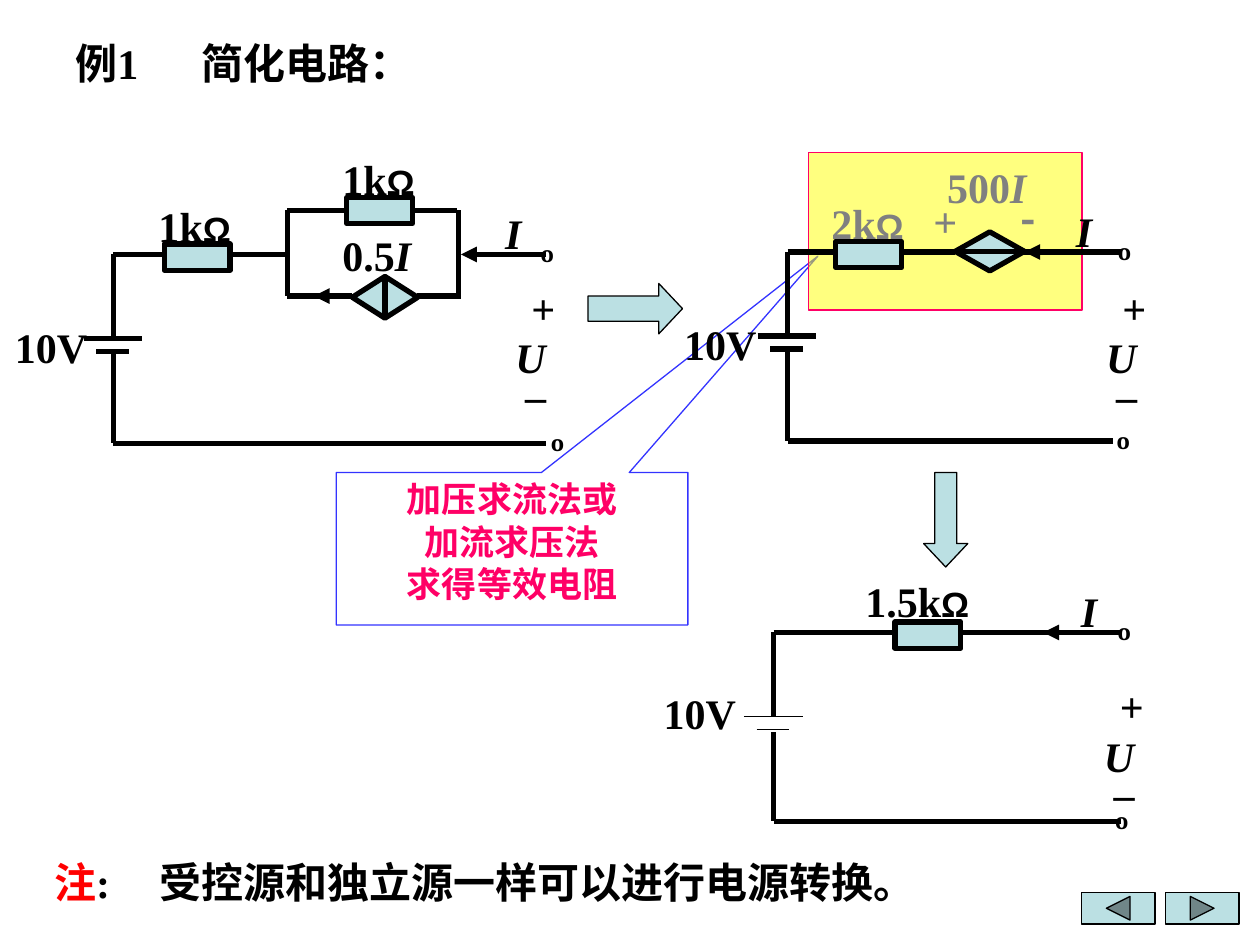
import pptx
import pptx.dml.color
import pptx.enum.shapes
import pptx.enum.text
import pptx.oxml
import pptx.oxml.ns
import pptx.util

Pt = pptx.util.Pt
SHAPE = pptx.enum.shapes.MSO_SHAPE
ALIGN = pptx.enum.text.PP_ALIGN
ANCHOR = pptx.enum.text.MSO_ANCHOR
AUTO = pptx.enum.text.MSO_AUTO_SIZE
BLACK, TEAL, GRAY, PINK = "000000", "BBE0E3", "808080", "FF0066"
ITALIC = {"italic": True}
OHM = ("Ω", {"size": Pt(20), "name": "Arial"})


def rgb(value):
    return pptx.dml.color.RGBColor.from_string(value)


def apply(obj, values):
    for key, value in values.items():
        setattr(obj, key, value)


def child(parent, tag, **attrs):
    el = pptx.oxml.parse_xml(f"<a:{tag} {pptx.oxml.ns.nsdecls('a')}/>")
    for key, value in attrs.items():
        el.set(key, str(value))
    parent.append(el)
    return el


class Sketch:
    font = {"size": Pt(24), "name": "Times New Roman", "bold": True}

    def __init__(self, s):
        self.s = s

    def shape(self, kind, x, y, w, h, fill=TEAL, line=BLACK, weight=0.75, rotation=0):
        sp = self.s.shapes.add_shape(kind, Pt(x), Pt(y), Pt(w), Pt(h))
        sp.shadow.inherit = False
        sp.rotation = rotation
        sp.fill.solid()
        sp.fill.fore_color.rgb = rgb(fill)
        sp.line.color.rgb = rgb(line)
        sp.line.width = Pt(weight)
        return sp

    def wire(self, x1, y1, x2, y2, weight=3, arrow=False):
        sp = self.s.shapes.add_connector(
            pptx.enum.shapes.MSO_CONNECTOR.STRAIGHT, Pt(x1), Pt(y1), Pt(x2), Pt(y2))
        sp.line.color.rgb = rgb(BLACK)
        sp.line.width = Pt(weight)
        if arrow:
            child(sp.line._get_or_add_ln(), "tailEnd", type="triangle")
        child(sp._element.spPr, "effectLst")

    def resistor(self, cx, cy):
        self.shape(SHAPE.RECTANGLE, cx - 18.8, cy - 7.5, 37.6, 15, weight=3)

    def battery(self, x, y, weight=3):
        self.wire(x, y + 57, x, y + 108)
        self.wire(x, y + 48, x, y)
        self.wire(x - 17, y + 48, x + 16.5, y + 48, weight)
        self.wire(x - 9.7, y + 55.5, x + 9, y + 55.5, weight)

    def runs(self, p, items, color):
        for content, values in items:
            r = p.add_run()
            r.text = content
            values = {**self.font, **values}
            r.font.color.rgb = rgb(values.pop("color", color))
            apply(r.font, values)

    def text(self, x, y, w, *items, color=BLACK, center=False, tab=None):
        sp = self.s.shapes.add_textbox(Pt(x), Pt(y), Pt(w), Pt(36))
        tf = sp.text_frame
        apply(tf, {"word_wrap": True, "auto_size": AUTO.SHAPE_TO_FIT_TEXT,
                   "vertical_anchor": ANCHOR.MIDDLE if center else ANCHOR.TOP})
        p = tf.paragraphs[0]
        if tab:
            tabs = child(p._p.get_or_add_pPr(), "tabLst")
            child(tabs, "tab", pos=Pt(tab), algn="l")
        p.alignment = ALIGN.CENTER if center else ALIGN.LEFT
        self.runs(p, items, color)

    def port(self, plus, minus, voltage, top, bottom):
        marks = [("+", plus), ("_", minus), ("U", voltage), ("º", top), ("º", bottom)]
        for mark, box in marks:
            self.text(*box, (mark, ITALIC if mark == "U" else {}), center=True)

    def callout(self, x, y, w, h, lines, adjustments):
        sp = self.shape(SHAPE.RECTANGULAR_CALLOUT, x, y, w, h, "FFFFFF", "3333FF")
        for i, value in enumerate(adjustments):
            sp.adjustments[i] = value
        tf = sp.text_frame
        apply(tf, {"word_wrap": False, "vertical_anchor": ANCHOR.MIDDLE})
        for i, line in enumerate(lines):
            p = tf.add_paragraph() if i else tf.paragraphs[0]
            apply(p, {"alignment": ALIGN.CENTER, "line_spacing": 0.5,
                      "space_before": Pt(12.5 if i else 0)})
            self.runs(p, [(line, {"size": Pt(20)})], PINK)


def source_circuit(d):
    d.battery(64.8, 145.4)
    for ends in [(64.8, 145.4, 164.2, 145.4), (64.8, 253.4, 311.8, 253.4),
                 (164.2, 120.2, 261.4, 120.2), (164.2, 120.2, 164.2, 169.2),
                 (164.2, 169.2, 200.9, 169.2), (238.3, 169.2, 263.5, 169.2),
                 (262.1, 120.2, 262.1, 169.2)]:
        d.wire(*ends)
    d.wire(192.2, 169.2, 179.3, 169.2, arrow=True)
    d.wire(311.8, 145.4, 263.5, 145.4, arrow=True)
    d.resistor(112.7, 146.9)
    d.resistor(217, 120.2)
    d.shape(SHAPE.FLOWCHART_SORT, 208.1, 151.2, 23.8, 37.4, weight=3, rotation=270)
    d.text(83.5, 110.9, 74.2, ("1k", {}), OHM)
    d.text(188.6, 84.2, 74.2, ("1k", {}), OHM)
    d.text(1.4, 180, 56.9, ("10V", {}))
    d.text(188.6, 127.4, 63.4, ("0.5", {}), ("I", ITALIC))
    d.text(281.5, 115.2, 15.1, ("I", ITALIC))
    d.port((296.6, 157.7, 15.1), (293, 199.4, 18.7), (282.2, 185.8, 41.8),
           (295.9, 131.8, 33.8), (301, 239.8, 35.3))


def converted_circuit(d):
    d.battery(450, 144)
    d.wire(450, 144, 545.8, 144)
    d.wire(581.8, 144, 625.7, 144)
    d.wire(450, 252, 635.8, 252)
    d.wire(640.8, 144, 585.4, 144, arrow=True)
    d.resistor(496.4, 145.4)
    d.shape(SHAPE.FLOWCHART_SORT, 545.8, 132.5, 39.6, 22.3, weight=3)
    d.text(383.8, 178.6, 66.2, ("10V", {}))
    d.text(468, 109.4, 72, ("2k", {}), OHM, color=GRAY)
    d.text(526.3, 108, 31.7, ("+", {}), color=GRAY)
    d.text(534.2, 88.6, 72, ("500", {}), ("I", ITALIC), color=GRAY)
    d.text(576, 106.6, 14.4, ("-", {"name": "Noto Sans CJK SC"}), color=GRAY)
    d.text(607.7, 113.8, 14.4, ("I", ITALIC))
    d.port((634.3, 157.7, 15.8), (630.7, 199.4, 19.4), (619.2, 185.8, 43.2),
           (631.4, 130.3, 22.3), (630, 238.3, 23.8))


def final_circuit(d):
    d.battery(442.1, 361.4, weight=1)
    d.wire(442.1, 361.4, 630, 361.4)
    d.wire(442.1, 469.4, 640.8, 469.4)
    d.wire(640.8, 361.4, 596.2, 361.4, arrow=True)
    d.resistor(530.3, 362.9)
    d.text(487.4, 325.4, 83.5, ("1.5k", {}), OHM)
    d.text(372.2, 389.5, 59.8, ("10V", {}))
    d.text(610.6, 331.2, 15.8, ("I", ITALIC))
    d.port((632.9, 385.2, 15.8), (629.3, 427, 19.4), (617.8, 414, 43.2),
           (631.4, 347.8, 15.8), (630, 455.8, 15.8))


def main():
    prs = pptx.Presentation()
    apply(prs, {"slide_width": Pt(720), "slide_height": Pt(540)})
    d = Sketch(prs.slides.add_slide(prs.slide_layouts[6]))

    d.callout(192.2, 270, 200.9, 87.1,
              ["加压求流法或", "加流求压法", "求得等效电阻"], (0.87, -1.92))
    sp = d.shape(SHAPE.RECTANGLE, 462.2, 87.1, 156.2, 90, "FFFF00", PINK)
    fill = sp._element.spPr.find(pptx.oxml.ns.qn("a:solidFill"))
    child(fill[0], "alpha", val=50000)

    d.text(36, 18, 255.6, ("例1\t简化电路：", {}), tab=72)
    d.text(23.8, 486, 61.9, ("注", {"color": "FF0000"}), (":", {}))
    d.text(84.2, 486, 486, ("受控源和独立源一样可以进行电源转换。", {}))

    source_circuit(d)
    sp = d.shape(SHAPE.RIGHT_ARROW, 336, 162, 54, 28.8)
    sp.adjustments[1] = 0.47
    converted_circuit(d)
    sp = d.shape(SHAPE.DOWN_ARROW, 527.8, 270, 25.2, 54)
    sp.adjustments[1] = 0.53
    final_circuit(d)

    d.shape(SHAPE.ACTION_BUTTON_FORWARD_OR_NEXT, 666, 510, 42, 18)
    d.shape(SHAPE.ACTION_BUTTON_BACK_OR_PREVIOUS, 618, 510, 42, 18)
    prs.save("out.pptx")


if __name__ == "__main__":
    main()
